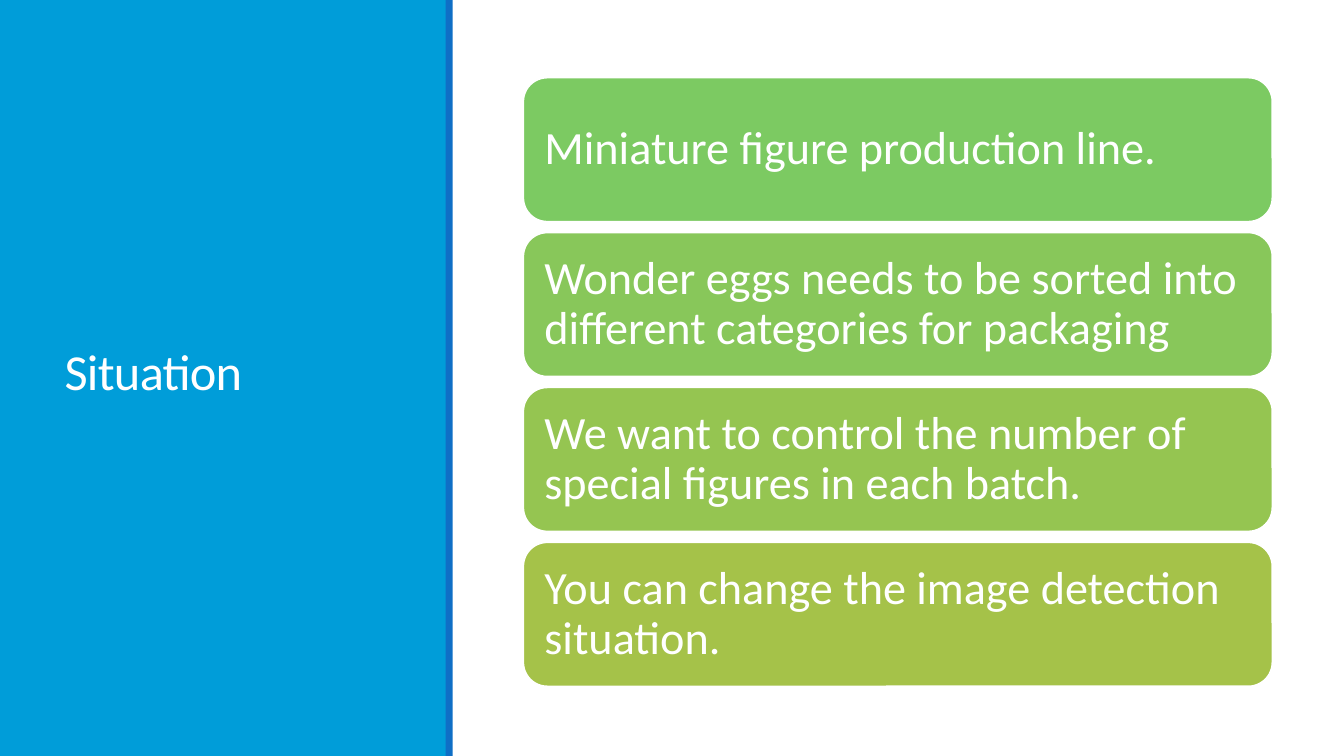
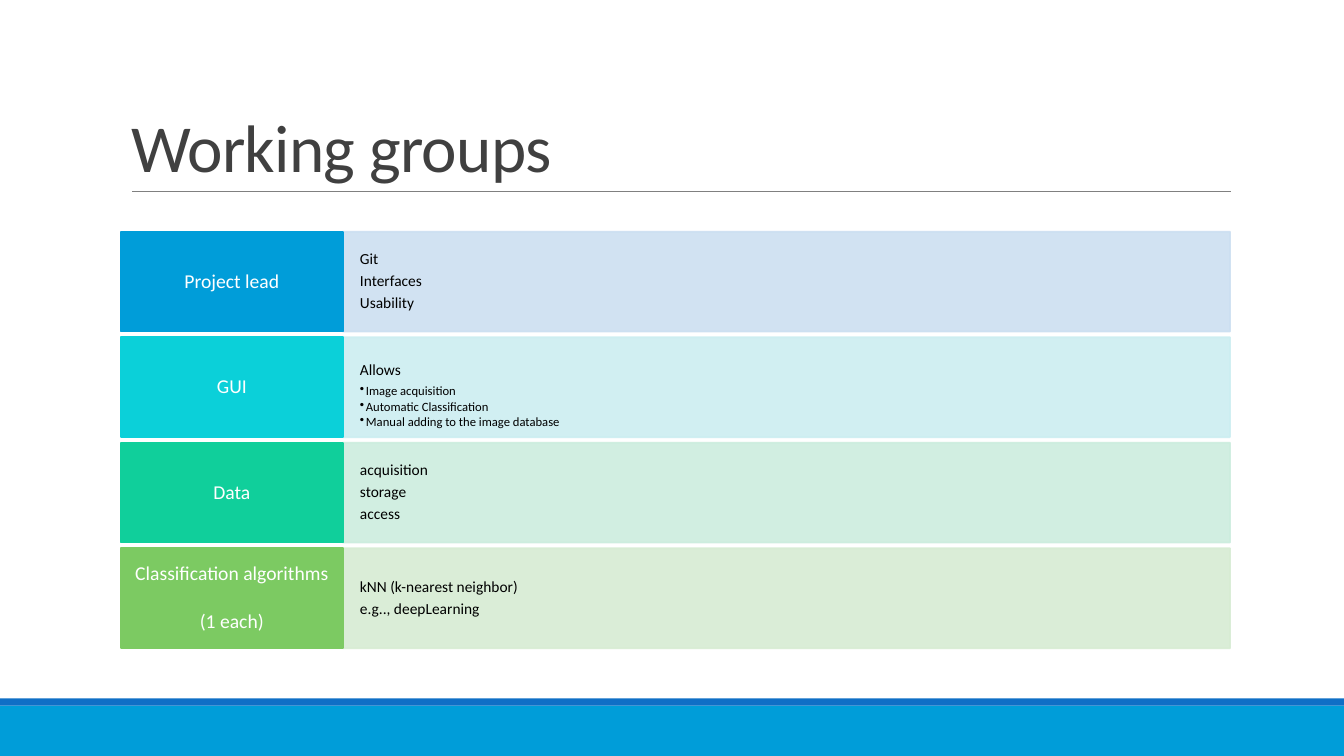
from lxml import etree
from pptx import Presentation
from pptx.dml.color import RGBColor
from pptx.enum.shapes import MSO_CONNECTOR, MSO_SHAPE
from pptx.enum.text import MSO_ANCHOR, MSO_AUTO_SIZE, PP_ALIGN
from pptx.oxml.ns import qn
from pptx.util import Inches, Pt

RECT, ROUNDED = MSO_SHAPE.RECTANGLE, MSO_SHAPE.ROUNDED_RECTANGLE
STRAIGHT = MSO_CONNECTOR.STRAIGHT
TOP, MIDDLE, BOTTOM = MSO_ANCHOR.TOP, MSO_ANCHOR.MIDDLE, MSO_ANCHOR.BOTTOM
LEFT, CENTER = PP_ALIGN.LEFT, PP_ALIGN.CENTER
TITLE_ONLY = 5

# Colours
WHITE = RGBColor(0xFF, 0xFF, 0xFF)
BLACK = RGBColor(0x00, 0x00, 0x00)
DARK_GREY = RGBColor(0x40, 0x40, 0x40)
RULE_GREY = RGBColor(0x80, 0x80, 0x80)
BLUE = RGBColor(0x00, 0x9D, 0xD9)
DEEP_BLUE = RGBColor(0x0F, 0x6F, 0xC6)
TURQUOISE = RGBColor(0x0B, 0xD0, 0xD9)
MINT = RGBColor(0x10, 0xCF, 0x9B)
GREEN = RGBColor(0x7C, 0xCA, 0x62)
LEAF = RGBColor(0x88, 0xC7, 0x5A)
LIME = RGBColor(0x95, 0xC5, 0x51)
OLIVE = RGBColor(0xA5, 0xC2, 0x49)
PALE_BLUE = RGBColor(0xCC, 0xDF, 0xF1)
PALE_TURQUOISE = RGBColor(0xCC, 0xEE, 0xF1)
PALE_MINT = RGBColor(0xCC, 0xED, 0xDE)
PALE_GREEN = RGBColor(0xD7, 0xEC, 0xD3)

# Shared measures and text formats
FONT = "Calibri"
SLIDE_W, SLIDE_H = 13.33, 7.5
STRIPE = 0.07
BAND_H = 0.5
STATEMENT = dict(size=33, color=WHITE)
GROUP_NAME = dict(size=14, color=WHITE, align=CENTER)
TASK = dict(size=11, color=BLACK)
SUBTASK = dict(size=9, color=BLACK, after=15, bullet=True)

SITUATION = [
    ("Miniature figure production line.", GREEN),
    ("Wonder eggs needs to be sorted into different categories for packaging", LEAF),
    ("We want to control the number of special figures in each batch.", LIME),
    ("You can change the image detection situation.", OLIVE),
]

# Group name, its colour, tint of its tasks, tasks, subtasks
GROUPS = [
    ("Project lead", BLUE, PALE_BLUE, ["Git", "Interfaces", "Usability"], []),
    ("GUI", TURQUOISE, PALE_TURQUOISE, ["Allows"],
     ["Image acquisition", "Automatic Classification",
      "Manual adding to the image database"]),
    ("Data", MINT, PALE_MINT, ["acquisition", "storage", "access"], []),
    ("Classification algorithms \n(1 each)", GREEN, PALE_GREEN,
     ["kNN (k-nearest neighbor)", "e.g.., deepLearning"], []),
]


def set_frame(frame, anchor, inset_x, inset_y):
    values = dict(word_wrap=True, auto_size=MSO_AUTO_SIZE.NONE,
                  vertical_anchor=anchor,
                  margin_left=Inches(inset_x), margin_right=Inches(inset_x),
                  margin_top=Inches(inset_y), margin_bottom=Inches(inset_y))
    for name, value in values.items():
        setattr(frame, name, value)


def write(paragraph, text, size, color, align=LEFT, spacing=0.9, after=35,
          bullet=False):
    """Fill one paragraph; after is the space below in percent of a line."""
    paragraph.text = text
    paragraph.alignment = align
    paragraph.line_spacing = spacing
    props = paragraph._p.get_or_add_pPr()
    if after:
        space = etree.SubElement(props, qn("a:spcAft"))
        etree.SubElement(space, qn("a:spcPct")).set("val", str(after * 1000))
    if bullet:
        props.set("marL", str(Inches(0.06)))
        props.set("indent", str(-Inches(0.06)))
        etree.SubElement(props, qn("a:buChar")).set("char", "•")
    for run in paragraph.runs:
        for name, value in dict(name=FONT, size=Pt(size)).items():
            setattr(run.font, name, value)
        run.font.color.rgb = color


def add_block(slide, kind, box, fill, line=None, opacity=100):
    block = slide.shapes.add_shape(kind, *map(Inches, box))
    block.shadow.inherit = False
    block.fill.solid()
    block.fill.fore_color.rgb = fill
    if line is None:
        block.line.fill.background()
    else:
        block.line.color.rgb = line
        block.line.width = Pt(1.25)
    if opacity < 100:
        for color in block._element.spPr.iter(qn("a:srgbClr")):
            etree.SubElement(color, qn("a:alpha")).set("val", str(opacity * 1000))
    return block


def fill_text(block, lines, anchor=MIDDLE, inset_x=0.14, inset_y=0.14):
    """Write (text, format) pairs as the paragraphs of a block."""
    frame = block.text_frame
    set_frame(frame, anchor, inset_x, inset_y)
    for index, (text, style) in enumerate(lines):
        paragraph = frame.add_paragraph() if index else frame.paragraphs[0]
        write(paragraph, text, **style)


def set_title(slide, text, box, size, color, anchor):
    title = slide.shapes.title
    for name, value in zip(("left", "top", "width", "height"), box):
        setattr(title, name, Inches(value))
    set_frame(title.text_frame, anchor, 0.1, 0.05)
    paragraph = title.text_frame.paragraphs[0]
    write(paragraph, text, size, color, spacing=0.85, after=0)
    for run in paragraph.runs:
        run._r.get_or_add_rPr().set("spc", "-50")


def row_boxes(box, count, row_height):
    """Spread rows of one height evenly over a box."""
    left, top, width, height = box
    pitch = (height - row_height) / (count - 1)
    return [(left, top + i * pitch, width, row_height) for i in range(count)]


def add_side_panel(slide, box):
    left, top, width, height = box
    add_block(slide, RECT, box, BLUE)
    add_block(slide, RECT, (left + width - 0.01, top, STRIPE, height), DEEP_BLUE)


def add_footer_band(slide, box):
    left, top, width, _ = box
    add_block(slide, RECT, box, BLUE)
    add_block(slide, RECT, (left, top - STRIPE, width, STRIPE), DEEP_BLUE)


def add_title_rule(slide, left, right, y):
    rule = slide.shapes.add_connector(
        STRAIGHT, Inches(left), Inches(y), Inches(right), Inches(y))
    rule.line.color.rgb = RULE_GREY
    rule.line.width = Pt(0.5)
    etree.SubElement(rule._element.spPr, qn("a:effectLst"))


def add_statements(slide, box):
    for (text, color), row in zip(SITUATION, row_boxes(box, len(SITUATION), 1.43)):
        card = add_block(slide, ROUNDED, row, color, line=WHITE)
        fill_text(card, [(text, STATEMENT)])


def add_groups(slide, box):
    for group, row in zip(GROUPS, row_boxes(box, len(GROUPS), 0.99)):
        name, color, tint, tasks, subtasks = group
        left, top, width, height = row
        name_width = width / 5

        # Tasks on the right
        task_box = (left + name_width, top, width - name_width, height)
        task_cell = add_block(slide, RECT, task_box, tint, line=tint, opacity=90)
        lines = [(text, TASK) for text in tasks]
        lines += [(text, SUBTASK) for text in subtasks]
        fill_text(task_cell, lines, TOP if subtasks else MIDDLE, 0.17, 0.25)

        # Group name on the left
        name_cell = add_block(slide, RECT, (left, top, name_width, height),
                              color, line=color)
        fill_text(name_cell, [(name, GROUP_NAME)], MIDDLE, 0.12, 0.1)


def build_situation(slide):
    add_side_panel(slide, (0, 0, 4.43, SLIDE_H))
    # The title moves in front of the panel
    slide.shapes._spTree.append(slide.shapes.title._element)
    set_title(slide, "Situation", (0.54, 0.57, 3.37, 6.31), 36, WHITE, MIDDLE)
    add_statements(slide, (5.19, 0.77, 7.43, 6.04))


def build_working_groups(slide):
    add_footer_band(slide, (0, SLIDE_H - BAND_H, SLIDE_W, BAND_H))
    add_title_rule(slide, 1.31, 12.21, 1.9)
    set_title(slide, "Working groups", (1.2, 0.31, 11, 1.59), 48, DARK_GREY, BOTTOM)
    add_groups(slide, (1.2, 2.3, 11, 4.13))


def main():
    deck = Presentation()
    deck.slide_width, deck.slide_height = Inches(SLIDE_W), Inches(SLIDE_H)
    for build in (build_situation, build_working_groups):
        build(deck.slides.add_slide(deck.slide_layouts[TITLE_ONLY]))
    deck.save("out.pptx")


if __name__ == "__main__":
    main()
